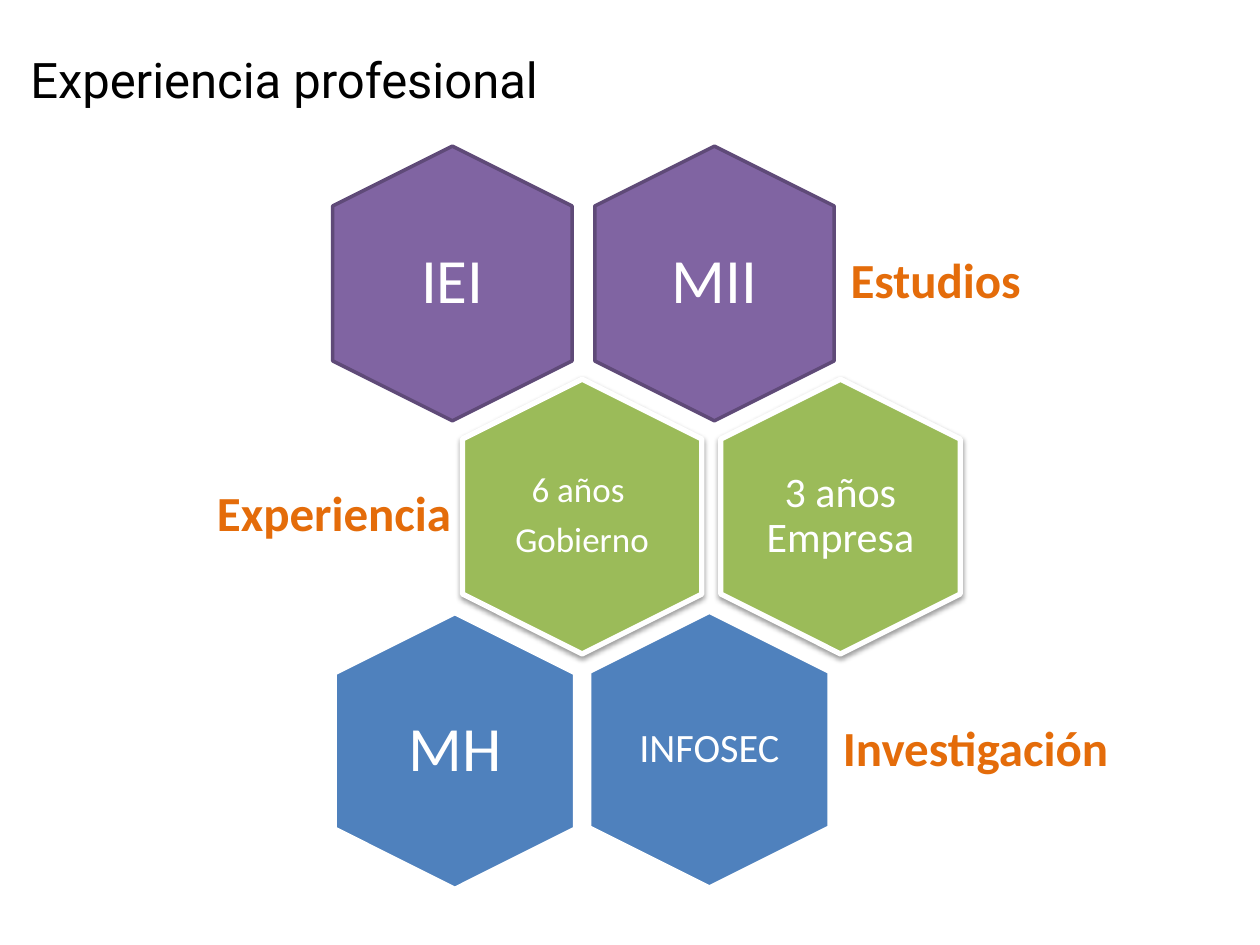
from lxml import etree
from pptx import Presentation
from pptx.dml.color import RGBColor
from pptx.enum.shapes import MSO_SHAPE
from pptx.enum.text import MSO_ANCHOR, PP_ALIGN
from pptx.oxml.ns import qn
from pptx.util import Inches, Pt

HEXAGON = MSO_SHAPE.HEXAGON
MIDDLE = MSO_ANCHOR.MIDDLE
LEFT, CENTER, RIGHT = PP_ALIGN.LEFT, PP_ALIGN.CENTER, PP_ALIGN.RIGHT

COLORS = {
    "purple": "8064A2", "dark purple": "5F4A78", "green": "9BBB59",
    "blue": "4F81BD", "orange": "E46C0A", "white": "FFFFFF", "black": "000000",
}
TITLE = "Experiencia profesional"
HEX_W, HEX_H = 2.18, 1.9
CAPTION_W, CAPTION_H = 1.31, 1.5
LABEL_H = 1.31

ROWS = [
    {"fill": "purple", "line": "dark purple", "line_width": 2, "shadow": False,
     "cells": [(4.58, 1.3, ["MII"], 36, 0.15), (2.5, 1.3, ["IEI"], 36, 0)],
     "label": ("Estudios", 6.63, 1.59, 2.82, LEFT)},
    {"fill": "green", "line": "white", "line_width": 3, "shadow": True,
     "cells": [(3.53, 3.15, ["6 años ", "Gobierno"], 20, 0.08),
               (5.58, 3.15, ["3 años Empresa"], 24, 0)],
     "label": ("Experiencia", 0.49, 3.44, 3.21, RIGHT)},
    {"fill": "blue", "line": "white", "line_width": 2, "shadow": False,
     "cells": [(4.54, 5, ["INFOSEC"], 23, 0.05), (2.52, 5.01, ["MH"], 36, 0)],
     "label": ("Investigación", 6.57, 5.3, 3.12, LEFT)},
]


def rgb(name):
    return RGBColor.from_string(COLORS[name])


def style_run(run, size, font, color, bold=False):
    run.font.size = Pt(size)
    run.font.name = font
    run.font.bold = bold
    run.font.color.rgb = rgb(color)


def add_text(shapes, box, lines, size, inset, align, color, bold=False):
    frame = shapes.add_textbox(*map(Inches, box)).text_frame
    frame.word_wrap = True
    frame.vertical_anchor = MIDDLE
    frame.margin_left = frame.margin_right = Inches(inset)
    frame.margin_top = frame.margin_bottom = Inches(inset)
    for index, line in enumerate(lines):
        paragraph = frame.paragraphs[0] if index == 0 else frame.add_paragraph()
        paragraph.alignment = align
        paragraph.line_spacing = 0.9
        paragraph.space_after = Pt(size * 0.35)
        run = paragraph.add_run()
        run.text = line
        style_run(run, size, "Calibri", color, bold)


def add_shadow(hexagon):
    effects = hexagon._element.spPr.find(qn("a:effectLst"))
    shadow = etree.SubElement(effects, qn("a:outerShdw"), blurRad=str(Pt(3.1)),
                              dist=str(Pt(1.6)), dir="5400000", rotWithShape="0")
    color = etree.SubElement(shadow, qn("a:srgbClr"), val=COLORS["black"])
    etree.SubElement(color, qn("a:alpha"), val="38000")


def add_hexagon(shapes, left, top, row):
    hexagon = shapes.add_shape(HEXAGON, *map(Inches, (left, top, HEX_W, HEX_H)))
    hexagon.rotation = 90
    hexagon.shadow.inherit = False
    hexagon.fill.solid()
    hexagon.fill.fore_color.rgb = rgb(row["fill"])
    hexagon.line.color.rgb = rgb(row["line"])
    hexagon.line.width = Pt(row["line_width"])
    if row["shadow"]:
        add_shadow(hexagon)


def main():
    presentation = Presentation()
    presentation.slide_width, presentation.slide_height = Inches(10), Inches(7.5)
    slide = presentation.slides.add_slide(presentation.slide_layouts[5])

    title = slide.shapes.title
    title.left, title.top, title.width, title.height = map(Inches, (0.14, 0, 9, 1.25))
    title.text_frame.vertical_anchor = MIDDLE
    heading = title.text_frame.paragraphs[0]
    heading.alignment = LEFT
    run = heading.add_run()
    run.text = TITLE
    style_run(run, 28, "Roboto", "black")

    honeycomb = slide.shapes.add_group_shape().shapes
    for row in ROWS:
        for left, top, lines, size, inset in row["cells"]:
            add_hexagon(honeycomb, left, top, row)
            caption = (left + (HEX_W - CAPTION_W) / 2, top + (HEX_H - CAPTION_H) / 2,
                       CAPTION_W, CAPTION_H)
            add_text(honeycomb, caption, lines, size, inset, CENTER, "white")
        label, left, top, width, align = row["label"]
        add_text(honeycomb, (left, top, width, LABEL_H), [label], 28, 0.12,
                 align, "orange", True)

    presentation.save("out.pptx")


if __name__ == "__main__":
    main()
